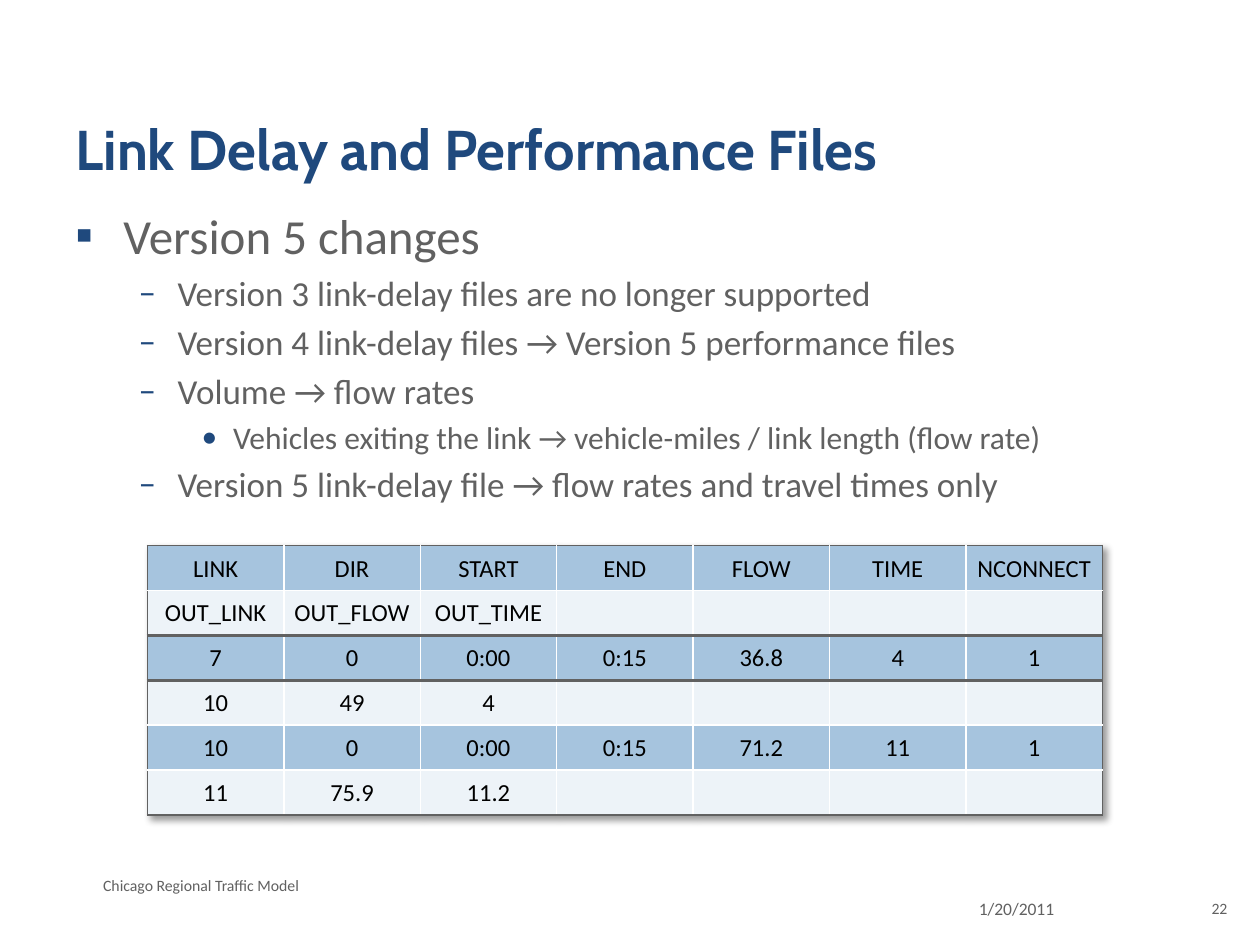
from lxml import etree
from pptx import Presentation
from pptx.dml.color import RGBColor
from pptx.enum.text import MSO_ANCHOR, MSO_AUTO_SIZE, PP_ALIGN
from pptx.oxml import parse_xml
from pptx.oxml.ns import nsdecls, qn
from pptx.util import Inches, Pt

NAVY, GRAY, WHITE, BLACK = "1F497D", "616161", "FFFFFF", "000000"
BANDS = ["A6C4DE", "EDF3F8"]

# Content
TITLE = "Link Delay and Performance Files"
BULLETS = [
    (0, "Version 5 changes"),
    (1, "Version 3 link-delay files are no longer supported"),
    (1, "Version 4 link-delay files → Version 5 performance files"),
    (1, "Volume → flow rates"),
    (2, "Vehicles exiting the link → vehicle-miles / link length (flow rate)"),
    (1, "Version 5 link-delay file → flow rates and travel times only"),
]
# Per level: size, left margin, hanging indent, bullet
LEVELS = [(28, 0.38, 0.38, "▪"), (20, 0.81, 0.31, "–"), (18, 1.25, 0.25, "•")]
ROWS = [
    ["LINK", "DIR", "START", "END", "FLOW", "TIME", "NCONNECT"],
    ["OUT_LINK", "OUT_FLOW", "OUT_TIME"],
    ["7", "0", "0:00", "0:15", "36.8", "4", "1"],
    ["10", "49", "4"],
    ["10", "0", "0:00", "0:15", "71.2", "11", "1"],
    ["11", "75.9", "11.2"],
]
# Text, box, size, alignment
FOOTERS = [
    ("1/20/2011", (7.67, 7.08, 1.5, 0.33), 10, PP_ALIGN.LEFT),
    ("Chicago Regional Traffic Model", (0.72, 6.9, 6.5, 0.25), 9, PP_ALIGN.LEFT),
    ("22", (9.42, 7.08, 0.42, 0.32), 9, PP_ALIGN.RIGHT),
]


def rgb(color):
    return RGBColor.from_string(color)


def write(p, text, size=14, color=GRAY, font="Calibri", bold=False, align=PP_ALIGN.LEFT):
    p.alignment = align
    r = p.add_run()
    r.text = text
    r.font.size, r.font.name, r.font.bold = Pt(size), font, bold
    r.font.color.rgb = rgb(color)


def place(shape, x, y, w, h):
    shape.left, shape.top, shape.width, shape.height = map(Inches, (x, y, w, h))


def add_bullet(p, char, left, hang):
    pPr = p._p.get_or_add_pPr()
    pPr.set("marL", str(Inches(left)))
    pPr.set("indent", str(-Inches(hang)))
    for xml in (
        '<a:spcBef %s><a:spcPct val="20000"/></a:spcBef>',
        f'<a:buClr %s><a:srgbClr val="{NAVY}"/></a:buClr>',
        '<a:buFont %s typeface="Calibri"/>',
        f'<a:buChar %s char="{char}"/>',
    ):
        pPr.append(parse_xml(xml % nsdecls("a")))


def set_borders(cell, sides):
    tcPr = cell._tc.get_or_add_tcPr()
    for i, (side, (color, width)) in enumerate(sides.items()):
        tcPr.insert(i, parse_xml(
            f'<a:ln{side} {nsdecls("a")} w="{Pt(width)}"><a:solidFill>'
            f'<a:srgbClr val="{color}"/></a:solidFill></a:ln{side}>'))


prs = Presentation()
prs.slide_width, prs.slide_height = Inches(10), Inches(7.5)
s = prs.slides.add_slide(prs.slide_layouts[1])

# Title
title = s.shapes.title
place(title, 0.5, 0.3, 9, 1.25)
tf = title.text_frame
tf.vertical_anchor, tf.margin_bottom = MSO_ANCHOR.BOTTOM, Inches(0.11)
write(tf.paragraphs[0], TITLE, size=32, color=NAVY, font="Cabin", bold=True)

# Bulleted list
body = s.placeholders[1]
place(body, 0.5, 1.58, 9, 5.12)
tf = body.text_frame
tf.auto_size = MSO_AUTO_SIZE.NONE
for i, (level, text) in enumerate(BULLETS):
    p = tf.add_paragraph() if i else tf.paragraphs[0]
    size, left, hang, char = LEVELS[level]
    p.level = level
    write(p, text, size=size)
    add_bullet(p, char, left, hang)

# Footer texts
for text, box, size, align in FOOTERS:
    tf = s.shapes.add_textbox(*map(Inches, box)).text_frame
    tf.word_wrap = True
    write(tf.paragraphs[0], text, size=size, align=align)

# Table with banded rows and a shadow
n_rows, n_cols = len(ROWS), len(ROWS[0])
table = s.shapes.add_table(n_rows, n_cols, Inches(1.17), Inches(4.33),
                           Inches(7.58), Inches(2.14)).table
tblPr = table._tbl.tblPr
tblPr.insert(0, parse_xml(
    f'<a:effectLst {nsdecls("a")}><a:outerShdw blurRad="50800" dist="38100" dir="2700000" '
    'algn="tl"><a:srgbClr val="000000"><a:alpha val="40000"/></a:srgbClr>'
    '</a:outerShdw></a:effectLst>'))
style = tblPr.find(qn("a:tableStyleId"))
style.text = "{2D5ABB26-0587-4C30-8999-92F81FD0307C}"
table.first_row = table.horz_banding = False

# Horizontal rules from top to bottom: grey outline, heavy lines around row 3
thin, edge, heavy = (WHITE, 1), (GRAY, 1), (GRAY, 2.25)
RULES = [edge, thin, heavy, heavy, thin, thin, edge]
for i, row in enumerate(ROWS):
    for j in range(n_cols):
        cell = table.cell(i, j)
        cell.margin_left = cell.margin_right = cell.margin_top = Inches(0.01)
        cell.margin_bottom = 0
        cell.vertical_anchor = MSO_ANCHOR.MIDDLE
        cell.fill.solid()
        cell.fill.fore_color.rgb = rgb(BANDS[i % 2])
        set_borders(cell, {
            "L": edge if j == 0 else thin,
            "R": edge if j == n_cols - 1 else thin,
            "T": RULES[i],
            "B": RULES[i + 1],
        })
        if j < len(row):
            write(cell.text_frame.paragraphs[0], row[j], color=BLACK, align=PP_ALIGN.CENTER)

prs.save("out.pptx")
